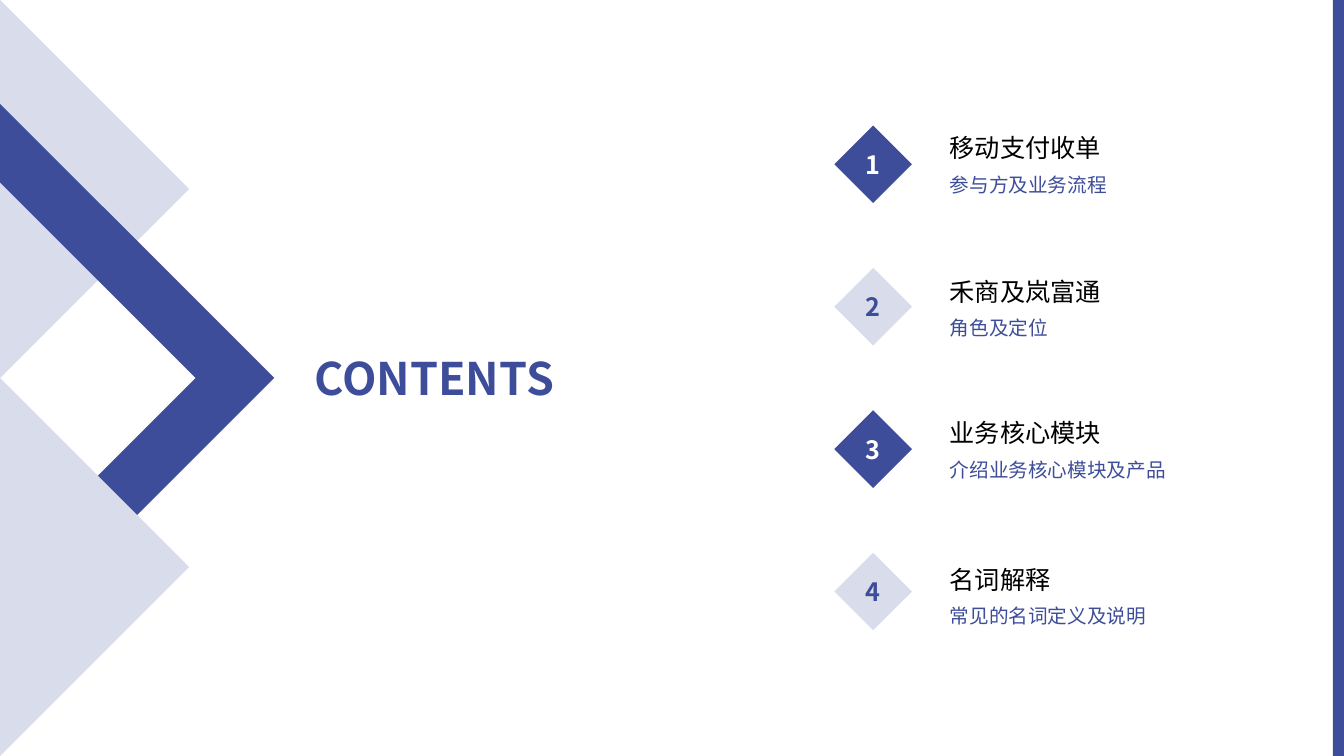
from dataclasses import dataclass

from pptx import Presentation
from pptx import util as u
from pptx.dml import color
from pptx.enum import shapes, text
from pptx.oxml import ns, xmlchemy

TITLE = "CONTENTS"
ITEMS = [
    ("移动支付收单", "参与方及业务流程"),
    ("禾商及岚富通", "角色及定位"),
    ("业务核心模块", "介绍业务核心模块及产品"),
    ("名词解释", "常见的名词定义及说明"),
]


@dataclass(frozen=True)
class Theme:
    font: str = "Noto Sans CJK SC"
    navy: str = "3E4D9A"
    pale: str = "D9DCEB"
    white: str = "FFFFFF"
    black: str = "000000"
    title: int = 32
    heading: int = 18
    detail: int = 14


THEME = Theme()
WIDTH, HEIGHT = 13.33, 7.5
MIDDLE = HEIGHT / 2
TRIANGLE = HEIGHT / 4
CHEVRON_TIP, CHEVRON_INNER = 2.72, 1.94
BAR = 0.11
FIRST_ROW, ROW_PITCH = 1.63, 1.413
DIAMOND_CENTER, DIAMOND = 8.66, 0.77
ENTRY_LEFT, ENTRY_WIDTH, ENTRY_HEIGHT = 9.42, 3.08, 0.75
ENTRY_DROPS = [0, 0.01, 0, 0.04]
ENTRY_GAP = 7


def rgb(value):
    return color.RGBColor.from_string(value)


def paint(shape, fill):
    shape.shadow.inherit = False
    shape.fill.solid()
    shape.fill.fore_color.rgb = rgb(fill)
    shape.line.fill.background()


def add_outline(page, points, fill):
    start, *rest = [(u.Inches(x), u.Inches(y)) for x, y in points]
    builder = page.shapes.build_freeform(*start)
    builder.add_line_segments(rest, close=True)
    paint(builder.convert_to_shape(), fill)


def add_preset(page, kind, left, top, width, height, fill):
    shape = page.shapes.add_shape(kind, *map(u.Inches, (left, top, width, height)))
    paint(shape, fill)
    return shape


def place(box, left, top, width, height):
    box.left, box.top = u.Inches(left), u.Inches(top)
    box.width, box.height = u.Inches(width), u.Inches(height)


def prepare(frame, wrap=True):
    frame.margin_left = frame.margin_right = 0
    frame.margin_top = frame.margin_bottom = 0
    frame.vertical_anchor = text.MSO_ANCHOR.MIDDLE
    frame.auto_size = text.MSO_AUTO_SIZE.NONE
    frame.word_wrap = wrap


def write(para, words, size, ink, bold=False, align=text.PP_ALIGN.LEFT, gap=0):
    para.alignment = align
    para.line_spacing = 1.0
    para.space_before, para.space_after = u.Pt(gap), u.Pt(0)
    layout = para._p.get_or_add_pPr()
    layout.set("marL", "0")
    layout.set("indent", "0")
    layout.append(xmlchemy.OxmlElement("a:buNone"))
    span = para.add_run()
    span.text = words
    span.font.name = THEME.font
    span.font.size = u.Pt(size)
    span.font.bold = bold
    span.font.color.rgb = rgb(ink)
    east_asian = xmlchemy.OxmlElement("a:ea")
    east_asian.set("typeface", THEME.font)
    span.font._element.find(ns.qn("a:latin")).addnext(east_asian)


def add_triangle(page, center):
    points = [(0, center - TRIANGLE), (TRIANGLE, center), (0, center + TRIANGLE)]
    add_outline(page, points, THEME.pale)


def add_decoration(page):
    add_triangle(page, MIDDLE - TRIANGLE)
    tip, inner = CHEVRON_TIP, CHEVRON_INNER
    add_outline(page, [
        (0, MIDDLE - tip), (tip, MIDDLE), (0, MIDDLE + tip),
        (0, MIDDLE + inner), (inner, MIDDLE), (0, MIDDLE - inner),
    ], THEME.navy)
    add_triangle(page, MIDDLE + TRIANGLE)
    add_preset(page, shapes.MSO_SHAPE.RECTANGLE, WIDTH - BAR, 0, BAR, HEIGHT, THEME.navy)


def add_title(page):
    box = page.shapes.title
    place(box, 3.12, MIDDLE - 0.3, 2.44, 0.6)
    prepare(box.text_frame, wrap=False)
    write(box.text_frame.paragraphs[0], TITLE, THEME.title, THEME.navy, bold=True)


def add_number(page, number, center):
    fill, ink = (THEME.navy, THEME.white) if number % 2 else (THEME.pale, THEME.navy)
    diamond = add_preset(
        page, shapes.MSO_SHAPE.DIAMOND, DIAMOND_CENTER - DIAMOND / 2,
        center - DIAMOND / 2, DIAMOND, DIAMOND, fill,
    )
    prepare(diamond.text_frame, wrap=False)
    write(diamond.text_frame.paragraphs[0], str(number), THEME.heading, ink,
          bold=True, align=text.PP_ALIGN.CENTER)


def add_entry(box, heading, detail, center):
    place(box, ENTRY_LEFT, center - ENTRY_HEIGHT / 2, ENTRY_WIDTH, ENTRY_HEIGHT)
    frame = box.text_frame
    prepare(frame)
    write(frame.paragraphs[0], heading, THEME.heading, THEME.black)
    write(frame.add_paragraph(), detail, THEME.detail, THEME.navy, gap=ENTRY_GAP)


def main():
    deck = Presentation()
    deck.slide_width, deck.slide_height = u.Inches(WIDTH), u.Inches(HEIGHT)
    page = deck.slides.add_slide(deck.slide_layouts.get_by_name("Comparison"))
    entries = list(page.placeholders)[1:]
    add_decoration(page)
    add_title(page)
    for row, (box, item, drop) in enumerate(zip(entries, ITEMS, ENTRY_DROPS)):
        center = FIRST_ROW + row * ROW_PITCH
        add_number(page, row + 1, center)
        add_entry(box, *item, center + drop)
    deck.save("out.pptx")


if __name__ == "__main__":
    main()
